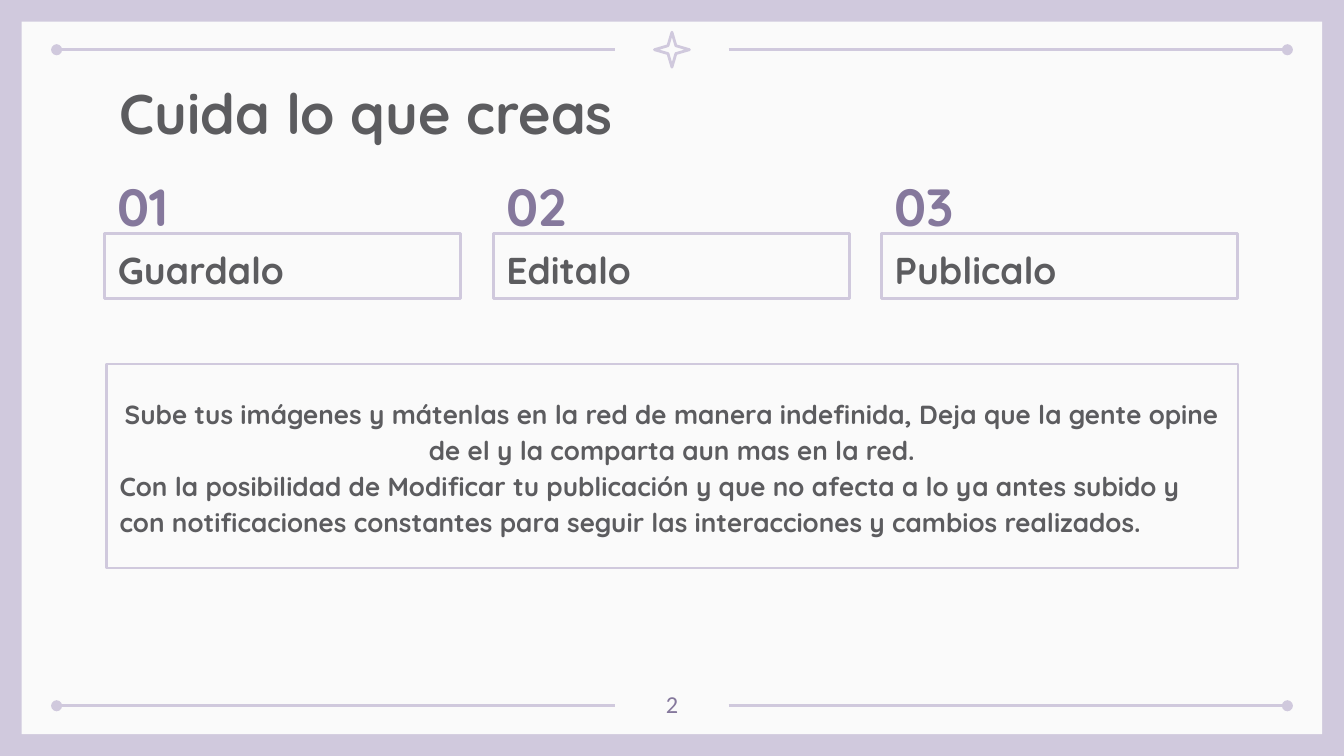
"""Build a framed slide with three numbered steps and a text panel."""
from lxml.etree import SubElement
from pptx import Presentation
from pptx.dml.color import RGBColor
from pptx.enum.shapes import MSO_CONNECTOR, MSO_SHAPE
from pptx.enum.text import MSO_ANCHOR, PP_ALIGN
from pptx.oxml.ns import qn
from pptx.util import Cm, Pt

HUES = {"lilac": "D0C9DD", "paper": "FAFAFA", "ink": "5C5C5F", "plum": "85789C"}


def draw(kind, x, y, w, h, fill=None, edge=None):
    shape = slide.shapes.add_shape(kind, Cm(x), Cm(y), Cm(w), Cm(h))
    shape.shadow.inherit = False
    if fill:
        shape.fill.solid()
        shape.fill.fore_color.rgb = RGBColor.from_string(HUES[fill])
    else:
        shape.fill.background()
    if edge:
        shape.line.color.rgb = RGBColor.from_string(HUES[edge])
        shape.line.width = Pt(1.5)
    else:
        shape.line.fill.background()
    return shape


def write(shape, lines, size, hue="ink", font="Quicksand", bold=True,
          anchor=MSO_ANCHOR.MIDDLE, space=1.15):
    frame = shape.text_frame
    frame.word_wrap = True
    frame.vertical_anchor = anchor
    frame.margin_left = frame.margin_right = Cm(0.25)
    frame.margin_top = frame.margin_bottom = Cm(0.25)
    for i, (text, align) in enumerate(lines):
        para = frame.add_paragraph() if i else frame.paragraphs[0]
        para.alignment = align
        para.line_spacing = space
        run = para.add_run()
        run.text = text
        run.font.name = font
        run.font.size = Pt(size)
        run.font.bold = bold
        run.font.color.rgb = RGBColor.from_string(HUES[hue])


deck = Presentation()
deck.slide_width = Cm(25.4)
deck.slide_height = Cm(14.29)
slide = deck.slides.add_slide(deck.slide_layouts[6])
back = slide.background.fill
back.solid()
back.fore_color.rgb = RGBColor.from_string(HUES["lilac"])

draw(MSO_SHAPE.RECTANGLE, 0.41, 0.41, 24.58, 13.47, fill="paper")
for y in (0.94, 13.34):
    for start, stop, end in ((1.07, 11.63, "headEnd"), (13.77, 24.33, "tailEnd")):
        rule = slide.shapes.add_connector(
            MSO_CONNECTOR.STRAIGHT, Cm(start), Cm(y), Cm(stop), Cm(y))
        rule.line.color.rgb = RGBColor.from_string(HUES["lilac"])
        rule.line.width = Pt(1.5)
        SubElement(rule.line._get_or_add_ln(), qn("a:" + end), type="oval")
        SubElement(rule._element.spPr, qn("a:effectLst"))
star = draw(MSO_SHAPE.STAR_4_POINT, 12.37, 0.61, 0.66, 0.66, edge="lilac")
star.adjustments[0] = 0.16

title = slide.shapes.add_textbox(Cm(2.01), Cm(1.24), Cm(21.41), Cm(1.6))
write(title, [("Cuida lo que creas", PP_ALIGN.LEFT)], 30,
      anchor=MSO_ANCHOR.TOP, space=1)

for i, step in enumerate(("Guardalo", "Editalo", "Publicalo")):
    x = 1.98 + 7.34 * i
    label = slide.shapes.add_textbox(Cm(x), Cm(3.18), Cm(1.83), Cm(1.22))
    write(label, [(f"{i + 1:02}", PP_ALIGN.LEFT)], 28, "plum")
    box = draw(MSO_SHAPE.RECTANGLE, x, 4.42, 6.73, 1.22, edge="lilac")
    write(box, [(step, PP_ALIGN.LEFT)], 20)

panel = draw(MSO_SHAPE.RECTANGLE, 2.01, 6.88, 21.39, 3.86, edge="lilac")
write(panel, [
    ("Sube tus imágenes y mátenlas en la red de manera indefinida, Deja que "
     "la gente opine de el y la comparta aun mas en la red.", PP_ALIGN.CENTER),
    ("Con la posibilidad de Modificar tu publicación y que no afecta a lo ya "
     "antes subido y con notificaciones constantes para seguir las "
     "interacciones y cambios realizados.", PP_ALIGN.LEFT),
], 14)

page = slide.shapes.add_textbox(Cm(11.94), Cm(12.78), Cm(1.52), Cm(0.91))
write(page, [("2", PP_ALIGN.CENTER)], 13, "plum", "Calibri", False,
      MSO_ANCHOR.TOP, 1)

deck.save("out.pptx")
